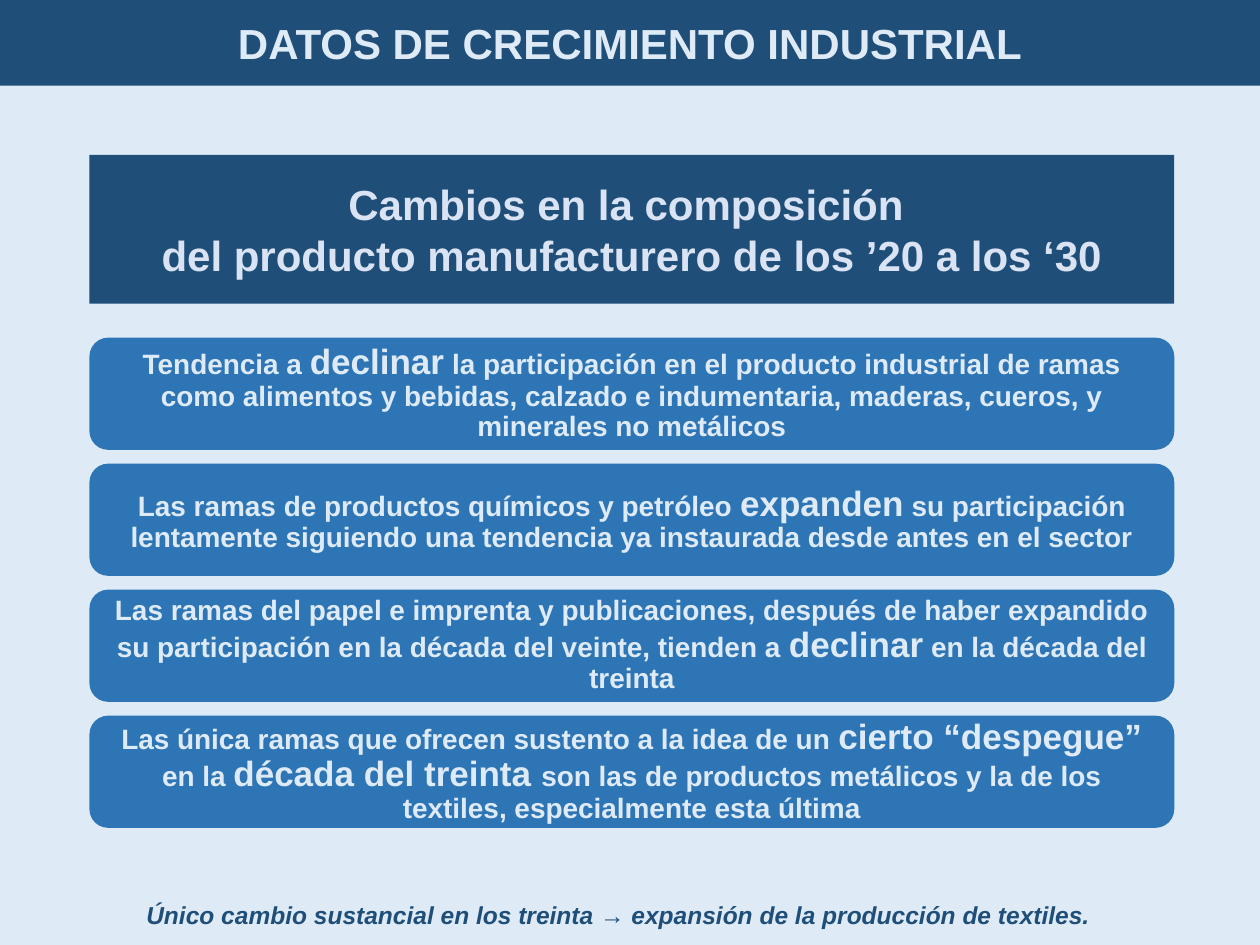
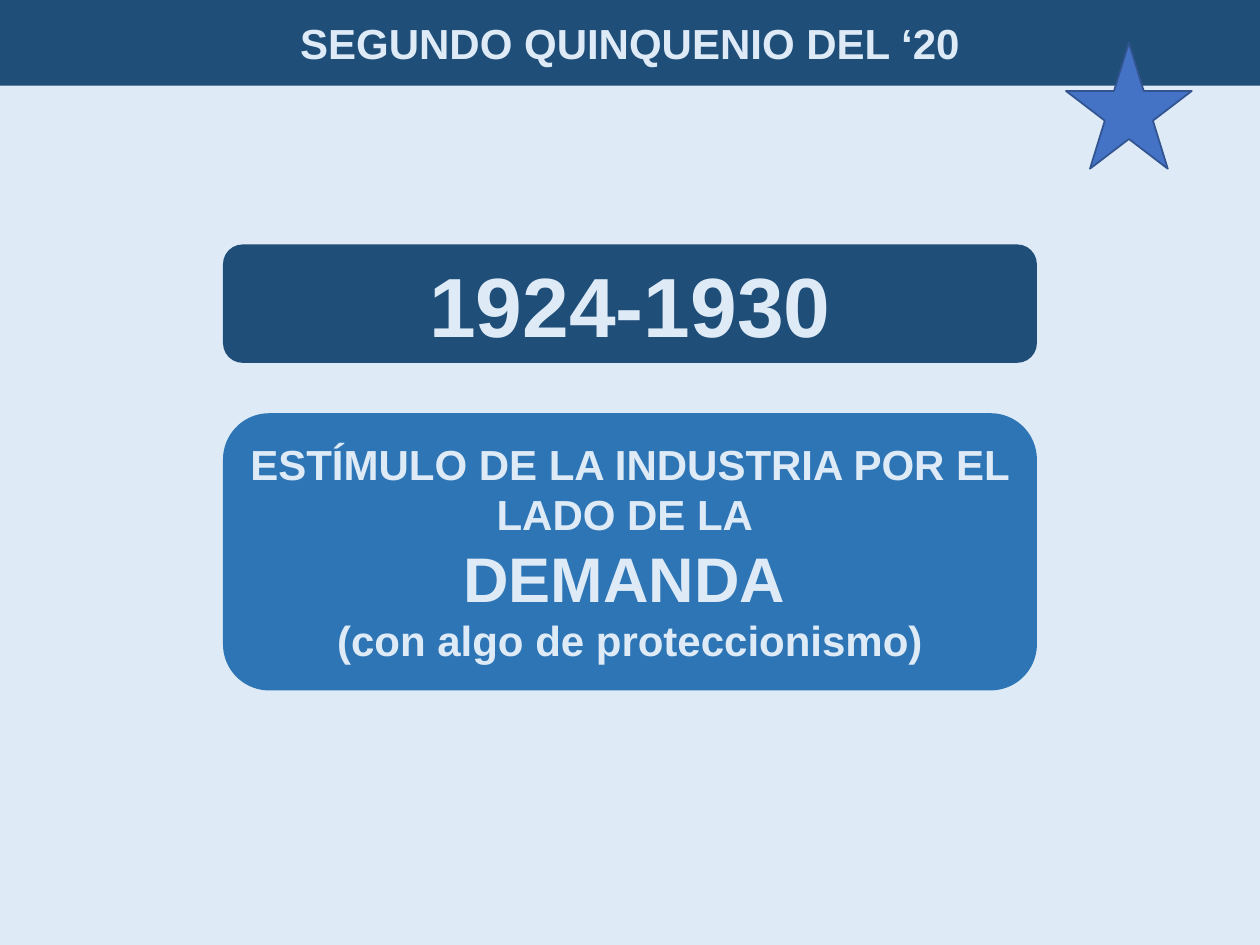
from typing import NamedTuple

from pptx import Presentation
from pptx.dml.color import RGBColor
from pptx.enum.shapes import MSO_SHAPE
from pptx.enum.text import MSO_ANCHOR, MSO_AUTO_SIZE, PP_ALIGN
from pptx.presentation import Presentation as Deck
from pptx.shapes.autoshape import Shape
from pptx.slide import Slide
from pptx.util import Inches, Pt

RECTANGLE = MSO_SHAPE.RECTANGLE
ROUNDED = MSO_SHAPE.ROUNDED_RECTANGLE
STAR = MSO_SHAPE.STAR_5_POINT
MIDDLE = MSO_ANCHOR.MIDDLE
CENTER = PP_ALIGN.CENTER
NO_AUTOFIT = MSO_AUTO_SIZE.NONE

NAVY = RGBColor(0x1F, 0x4E, 0x79)
BLUE = RGBColor(0x2E, 0x75, 0xB6)
PALE = RGBColor(0xDE, 0xEB, 0xF7)
LAVENDER = RGBColor(0xDA, 0xE3, 0xF3)
STAR_FILL = RGBColor(0x44, 0x72, 0xC4)
STAR_LINE = RGBColor(0x32, 0x54, 0x91)

FONT = "Arial"
TITLE_ONLY = 5
SLIDE_WIDTH, SLIDE_HEIGHT = 10, 7.5
CARD_LEFT, CARD_WIDTH = 0.71, 8.61
CARD_TOP, CARD_HEIGHT, CARD_PITCH = 2.68, 0.89, 1.0
PANEL_LEFT, PANEL_WIDTH = 1.77, 6.46


class Span(NamedTuple):
    text: str
    size: int


class Area(NamedTuple):
    left: float
    top: float
    width: float
    height: float


class Panel(NamedTuple):
    area: Area
    kind: MSO_SHAPE
    fill: RGBColor
    paragraphs: list[list[Span]]
    color: RGBColor = PALE
    line_spacing: float = 1.0


TITLE_BAND = Area(0, 0, SLIDE_WIDTH, 0.68)

CARDS = [
    [
        Span("Tendencia a ", 16),
        Span("declinar", 20),
        Span(" la participación en el producto industrial de ramas como alimentos y bebidas, "
             "calzado e indumentaria, maderas, cueros, y minerales no metálicos", 16),
    ],
    [
        Span("Las ramas de productos químicos y petróleo ", 16),
        Span("expanden", 20),
        Span(" su participación lentamente siguiendo una tendencia ya instaurada "
             "desde antes en el sector", 16),
    ],
    [
        Span("Las ramas del papel e imprenta y publicaciones, después de haber expandido "
             "su participación en la década del veinte, tienden a ", 16),
        Span("declinar", 20),
        Span(" en la década del treinta", 16),
    ],
    [
        Span("Las única ramas que ofrecen sustento a la idea de un ", 16),
        Span("cierto “despegue” ", 20),
        Span("en la ", 16),
        Span("década del treinta ", 20),
        Span("son las de productos metálicos y la de los textiles, especialmente esta última", 16),
    ],
]


def place(area: Area) -> list[Inches]:
    return [Inches(length) for length in area]


def write(box: Shape, paragraphs: list[list[Span]], color: RGBColor,
          line_spacing: float = 1.0, italic: bool = False) -> None:
    frame = box.text_frame
    frame.word_wrap = True
    frame.auto_size = NO_AUTOFIT
    frame.vertical_anchor = MIDDLE
    for index, spans in enumerate(paragraphs):
        para = frame.add_paragraph() if index else frame.paragraphs[0]
        para.alignment = CENTER
        para.line_spacing = line_spacing
        for span in spans:
            run = para.add_run()
            run.text = span.text
            run.font.name = FONT
            run.font.size = Pt(span.size)
            run.font.bold = True
            run.font.italic = italic
            run.font.color.rgb = color


def add_filled(page: Slide, kind: MSO_SHAPE, area: Area, fill: RGBColor) -> Shape:
    box = page.shapes.add_shape(kind, *place(area))
    box.shadow.inherit = False
    box.fill.solid()
    box.fill.fore_color.rgb = fill
    box.line.fill.background()
    return box


def add_panel(page: Slide, panel: Panel) -> None:
    box = add_filled(page, panel.kind, panel.area, panel.fill)
    write(box, panel.paragraphs, panel.color, panel.line_spacing)


def add_page(deck: Deck, title: str) -> Slide:
    page = deck.slides.add_slide(deck.slide_layouts[TITLE_ONLY])
    page.background.fill.solid()
    page.background.fill.fore_color.rgb = PALE
    band = page.shapes.title
    band.left, band.top, band.width, band.height = place(TITLE_BAND)
    band.fill.solid()
    band.fill.fore_color.rgb = NAVY
    write(band, [[Span(title, 24)]], PALE)
    return page


def build_growth_page(deck: Deck) -> None:
    page = add_page(deck, "DATOS DE CRECIMIENTO INDUSTRIAL")
    add_panel(page, Panel(Area(CARD_LEFT, 1.23, CARD_WIDTH, 1.18), RECTANGLE, NAVY, [
        [Span("Cambios en la composición ", 24)],
        [Span("del producto manufacturero de los ’20 a los ‘30", 24)],
    ], LAVENDER))
    for index, spans in enumerate(CARDS):
        area = Area(CARD_LEFT, CARD_TOP + index * CARD_PITCH, CARD_WIDTH, CARD_HEIGHT)
        add_panel(page, Panel(area, ROUNDED, BLUE, [spans], line_spacing=0.9))
    conclusion = page.shapes.add_textbox(*place(Area(0, 7.09, 9.82, 0.34)))
    write(conclusion, [[Span(
        "Único cambio sustancial en los treinta → expansión de la producción de textiles.", 14)]],
        NAVY, italic=True)


def build_demand_page(deck: Deck) -> None:
    page = add_page(deck, "SEGUNDO QUINQUENIO DEL ‘20")
    add_panel(page, Panel(Area(PANEL_LEFT, 1.94, PANEL_WIDTH, 0.94), ROUNDED, NAVY,
                          [[Span("1924-1930", 48)]]))
    add_panel(page, Panel(Area(PANEL_LEFT, 3.28, PANEL_WIDTH, 2.2), ROUNDED, BLUE, [
        [Span("ESTÍMULO DE LA INDUSTRIA POR EL LADO DE LA ", 24)],
        [Span("DEMANDA", 36), Span(" ", 24)],
        [Span("(con algo de proteccionismo)", 24)],
    ]))
    star = add_filled(page, STAR, Area(8.46, 0.34, 1, 1), STAR_FILL)
    star.line.color.rgb = STAR_LINE
    star.line.width = Pt(1)


def main() -> None:
    deck = Presentation()
    deck.slide_width = Inches(SLIDE_WIDTH)
    deck.slide_height = Inches(SLIDE_HEIGHT)
    build_growth_page(deck)
    build_demand_page(deck)
    deck.save("out.pptx")


if __name__ == "__main__":
    main()
